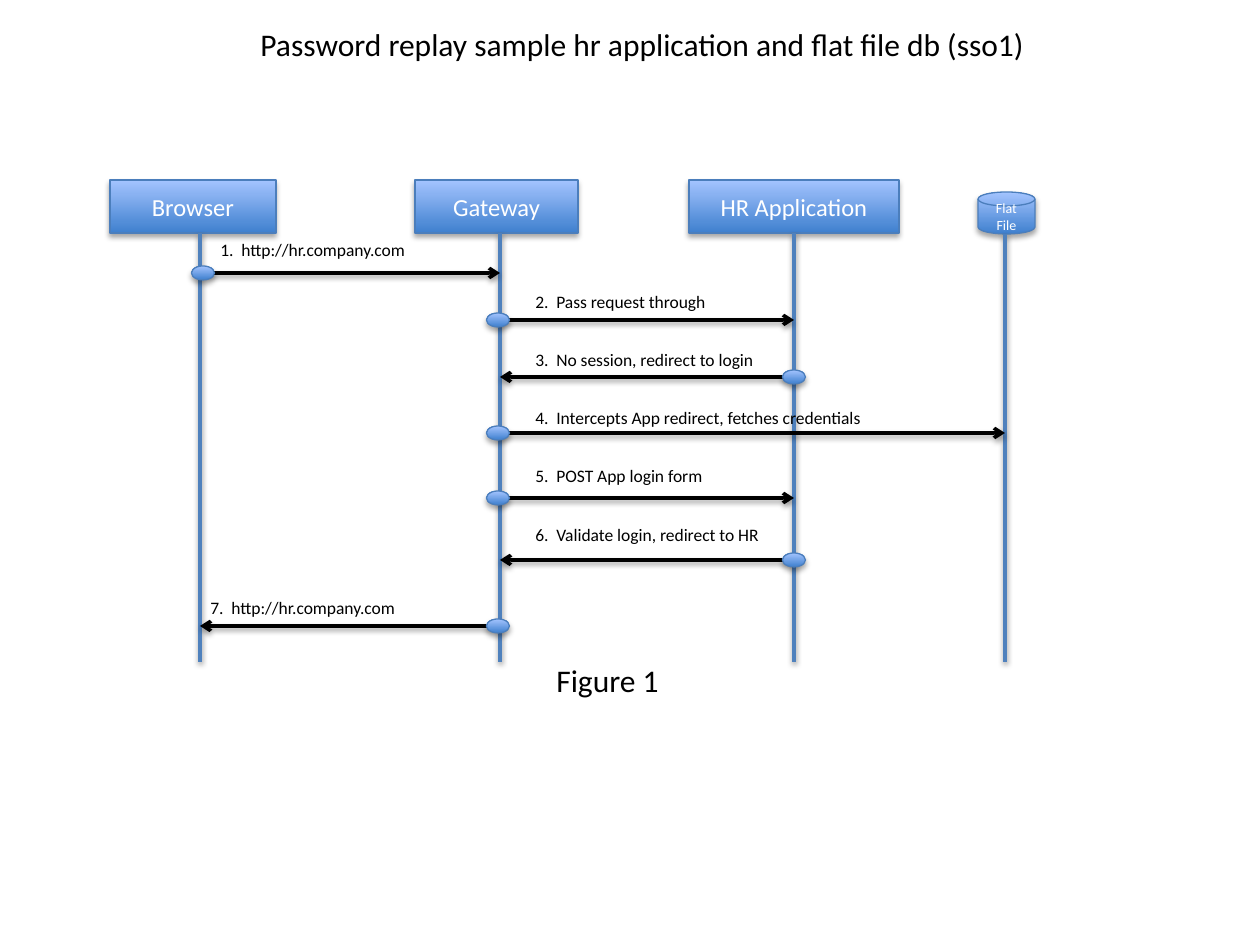
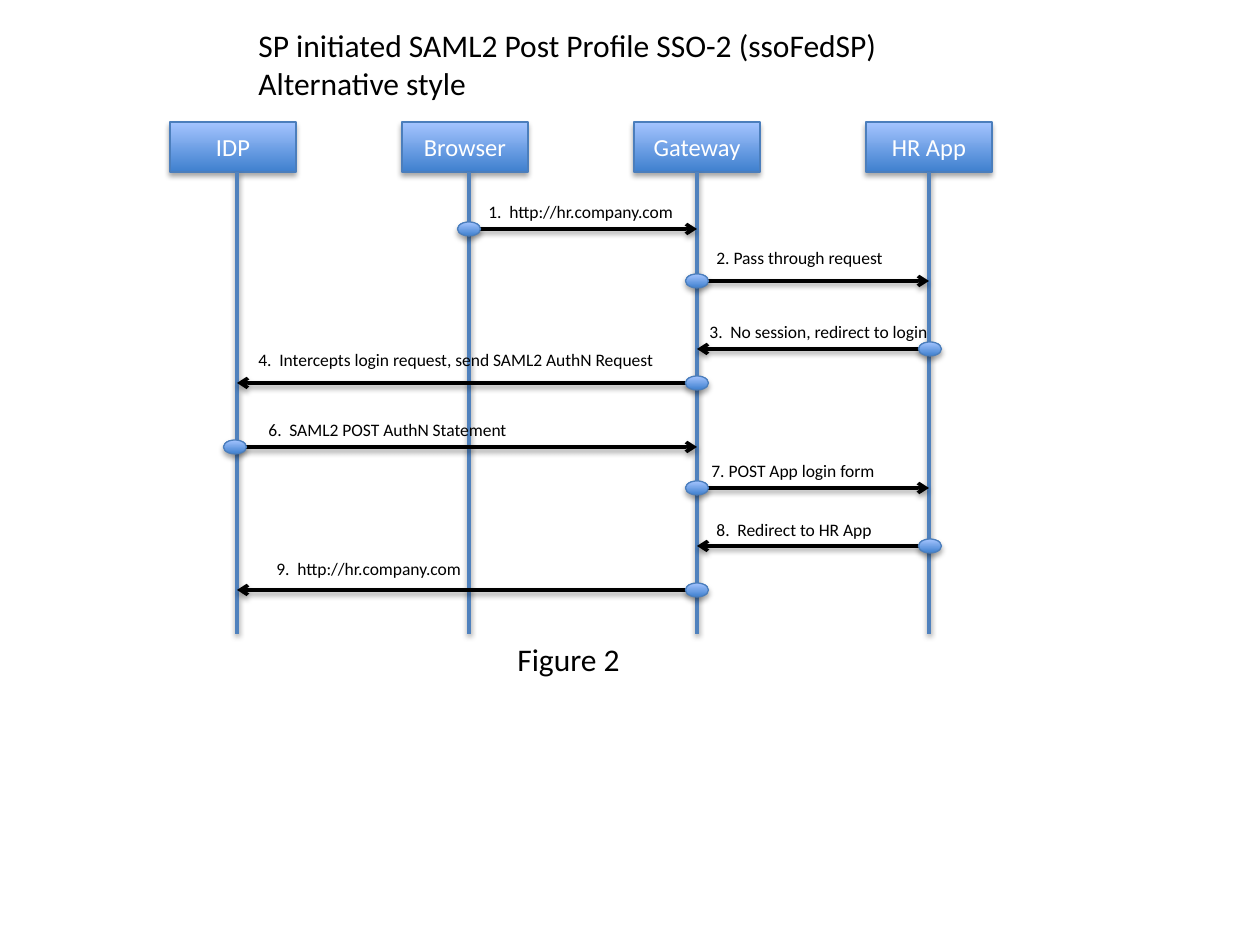
"""Two sequence diagrams of single sign-on flows."""
from lxml import etree
from pptx import Presentation
from pptx.dml.color import RGBColor
from pptx.enum.shapes import MSO_CONNECTOR, MSO_SHAPE
from pptx.enum.text import MSO_ANCHOR, PP_ALIGN
from pptx.oxml.ns import qn
from pptx.util import Emu, Pt

STRAIGHT = MSO_CONNECTOR.STRAIGHT
RECT, OVAL, DISK = MSO_SHAPE.RECTANGLE, MSO_SHAPE.OVAL, MSO_SHAPE.FLOWCHART_MAGNETIC_DISK
LEFT, CENTER = PP_ALIGN.LEFT, PP_ALIGN.CENTER
TOP, MIDDLE = MSO_ANCHOR.TOP, MSO_ANCHOR.MIDDLE
BOTTOM_SIDE = 2

BLACK = RGBColor(0x00, 0x00, 0x00)
WHITE = RGBColor(0xFF, 0xFF, 0xFF)
LIFELINE = RGBColor(0x4F, 0x81, 0xBD)
OUTLINE = RGBColor(0x4B, 0x7E, 0xBC)
GRADIENT = (RGBColor(0x3F, 0x80, 0xCE), RGBColor(0xA4, 0xC4, 0xFF))

HEADING = dict(size=Pt(18), name="Calibri", color=BLACK)
LABEL = dict(size=Pt(10), name="Calibri", color=BLACK)
ACTOR = dict(size=Pt(14), name="Calibri", color=WHITE)
STORE = dict(size=Pt(8), name="Calibri", color=WHITE)

DOT_W, DOT_H, LABEL_H, NUMBER_INDENT = 23, 14, 34, 21

# Actors: name -> (shape, font, box left, top, width, height, lifeline x, dot x)
# Messages: (text, sender, receiver, y, label left, label top, label width)
DIAGRAMS = [
    dict(
        title="Password replay sample hr application and flat file db (sso1)",
        title_box=(248, 19, 798, 50),
        caption="Figure 1",
        caption_box=(544, 655, 129, 50),
        lifeline_end=662,
        actors={
            "Browser": (RECT, ACTOR, 110, 180, 166, 53, 200, 203),
            "Gateway": (RECT, ACTOR, 415, 180, 163, 53, 500, 498),
            "HR Application": (RECT, ACTOR, 689, 180, 210, 53, 794, 794),
            "Flat\nFile": (DISK, STORE, 978, 192, 57, 42, 1005, 1005),
        },
        messages=[
            ("1.\thttp://hr.company.com", "Browser", "Gateway", 273, 208, 233, 278),
            ("2.\tPass request through", "Gateway", "HR Application", 320, 523, 285, 253),
            ("3.\tNo session, redirect to login", "HR Application", "Gateway", 377, 523, 343, 301),
            ("4.\tIntercepts App redirect, fetches credentials", "Gateway", "Flat\nFile", 433, 523, 401, 505),
            ("5.\tPOST App login form", "Gateway", "HR Application", 498, 523, 459, 260),
            ("6.\tValidate login, redirect to HR", "HR Application", "Gateway", 560, 523, 518, 287),
            ("7.\thttp://hr.company.com", "Gateway", "Browser", 626, 198, 591, 313),
        ],
    ),
    dict(
        title="SP initiated SAML2 Post Profile SSO-2 (ssoFedSP)\nAlternative style",
        title_box=(246, 20, 650, 89),
        caption="Figure 2",
        caption_box=(505, 634, 129, 50),
        lifeline_end=634,
        actors={
            "IDP": (RECT, ACTOR, 170, 122, 126, 50, 237, 235),
            "Browser": (RECT, ACTOR, 402, 122, 126, 50, 469, 469),
            "Gateway": (RECT, ACTOR, 634, 122, 126, 50, 697, 697),
            "HR App": (RECT, ACTOR, 866, 122, 126, 50, 929, 930),
        },
        messages=[
            ("1.\thttp://hr.company.com", "Browser", "Gateway", 229, 476, 195, 213),
            ("2. Pass through request", "Gateway", "HR App", 281, 704, 241, 214),
            ("3.\tNo session, redirect to login", "HR App", "Gateway", 349, 697, 315, 246),
            ("4.\tIntercepts login request, send SAML2 AuthN Request", "Gateway", "IDP", 383, 246, 343, 444),
            ("6.\tSAML2 POST AuthN Statement", "IDP", "Gateway", 447, 256, 413, 410),
            ("7. POST App login form", "Gateway", "HR App", 488, 699, 454, 208),
            ("8.\tRedirect to HR App", "HR App", "Gateway", 546, 704, 513, 208),
            ("9.\thttp://hr.company.com", "Gateway", "IDP", 590, 264, 552, 313),
        ],
    ),
]


def px(length):
    return Emu(round(length * 914400 / 126))


def write(frame, text, font, align=LEFT, anchor=TOP, wrap=True):
    frame.word_wrap = wrap
    frame.vertical_anchor = anchor
    frame.text = text
    for paragraph in frame.paragraphs:
        paragraph.alignment = align
        for key, value in font.items():
            if key == "color":
                paragraph.font.color.rgb = value
            else:
                setattr(paragraph.font, key, value)
        if "\t" in text:
            properties = paragraph._p.get_or_add_pPr()
            properties.set("marL", str(px(NUMBER_INDENT)))
            properties.set("indent", str(-px(NUMBER_INDENT)))


def add_text(slide, box, text, font, wrap=False):
    textbox = slide.shapes.add_textbox(*map(px, box))
    write(textbox.text_frame, text, font, wrap=wrap)


def add_shadow(properties, alpha, distance):
    effects = etree.SubElement(properties, qn("a:effectLst"))
    shadow = etree.SubElement(effects, qn("a:outerShdw"), blurRad=str(Pt(3.1)),
                              dist=str(Pt(distance)), dir="5400000", rotWithShape="0")
    tint = etree.SubElement(shadow, qn("a:srgbClr"), val=str(BLACK))
    etree.SubElement(tint, qn("a:alpha"), val=str(alpha * 1000))


def add_solid(slide, kind, box):
    solid = slide.shapes.add_shape(kind, *map(px, box))
    solid.fill.gradient()
    solid.fill.gradient_angle = 90
    for stop, color in zip(solid.fill.gradient_stops, GRADIENT):
        stop.color.rgb = color
    solid.line.color.rgb = OUTLINE
    solid.line.width = Pt(0.75)
    add_shadow(solid._element.spPr, 35, 1.8)
    return solid


def add_line(slide, start, end, color, arrow=False):
    line = slide.shapes.add_connector(STRAIGHT, *map(px, start + end))
    line.line.color.rgb = color
    line.line.width = Pt(2)
    properties = line._element.spPr
    if arrow:
        etree.SubElement(properties.find(qn("a:ln")), qn("a:tailEnd"), type="arrow")
    add_shadow(properties, 38, 1.6)
    return line


def add_actor(slide, name, actor, lifeline_end):
    kind, font, left, top, width, height, lane, _ = actor
    head = add_solid(slide, kind, (left, top, width, height))
    write(head.text_frame, name, font, CENTER, MIDDLE)
    lifeline = add_line(slide, (lane, top + height), (lane, lifeline_end), LIFELINE)
    if kind == RECT and lane == left + width / 2:
        lifeline.begin_connect(head, BOTTOM_SIDE)


def add_message(slide, actors, message):
    text, sender, receiver, y, left, top, width = message
    dot_x, target_x = actors[sender][-1], actors[receiver][-2]
    add_line(slide, (dot_x, y), (target_x, y), BLACK, arrow=True)
    add_solid(slide, OVAL, (dot_x - DOT_W / 2, y - DOT_H / 2, DOT_W, DOT_H))
    add_text(slide, (left, top, width, LABEL_H), text, LABEL, wrap=True)


def main():
    deck = Presentation()
    deck.slide_width, deck.slide_height = px(1260), px(945)
    for diagram in DIAGRAMS:
        slide = deck.slides.add_slide(deck.slide_layouts[6])
        for name, actor in diagram["actors"].items():
            add_actor(slide, name, actor, diagram["lifeline_end"])
        for message in diagram["messages"]:
            add_message(slide, diagram["actors"], message)
        for part in ("title", "caption"):
            add_text(slide, diagram[part + "_box"], diagram[part], HEADING)
    deck.save("out.pptx")


if __name__ == "__main__":
    main()
